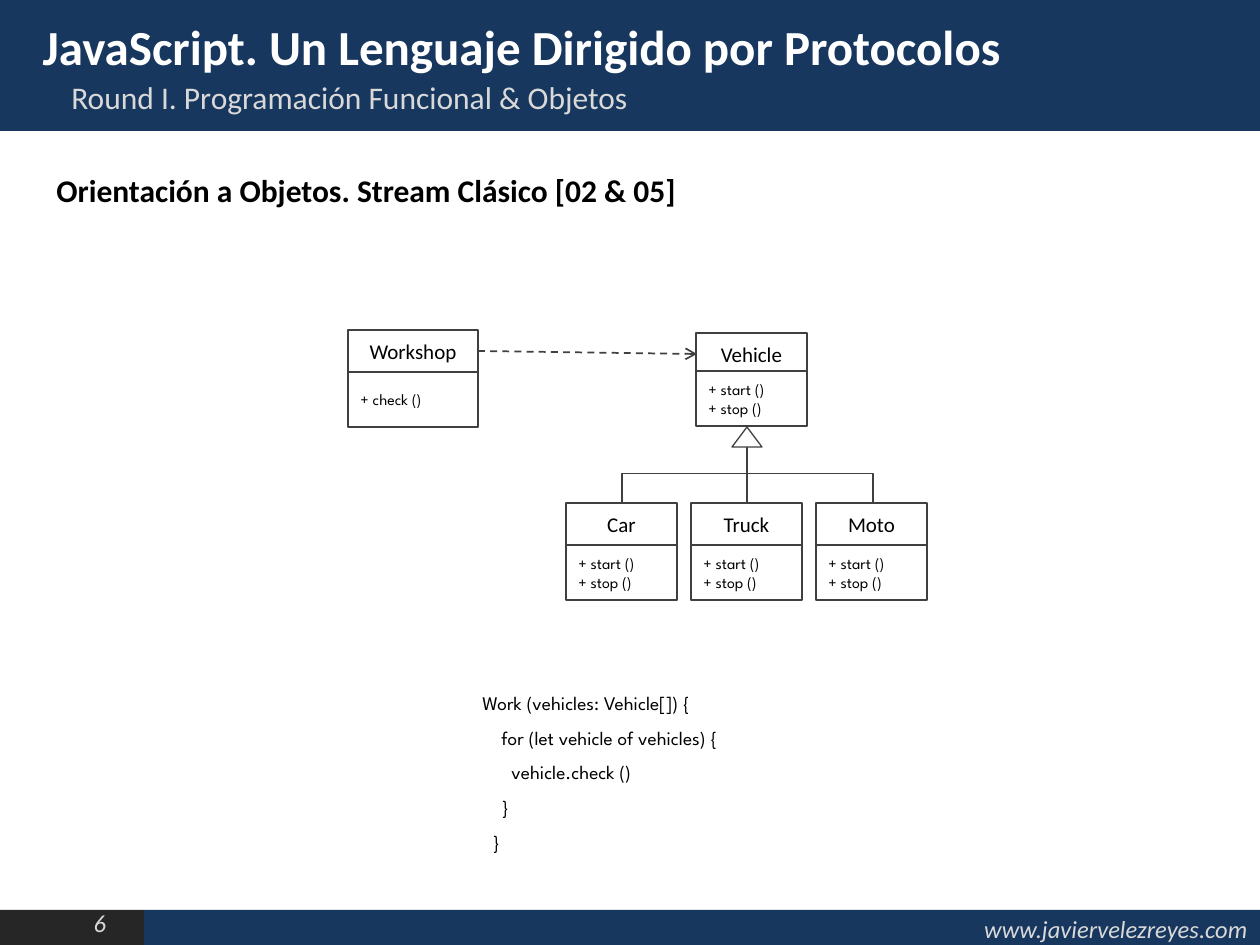
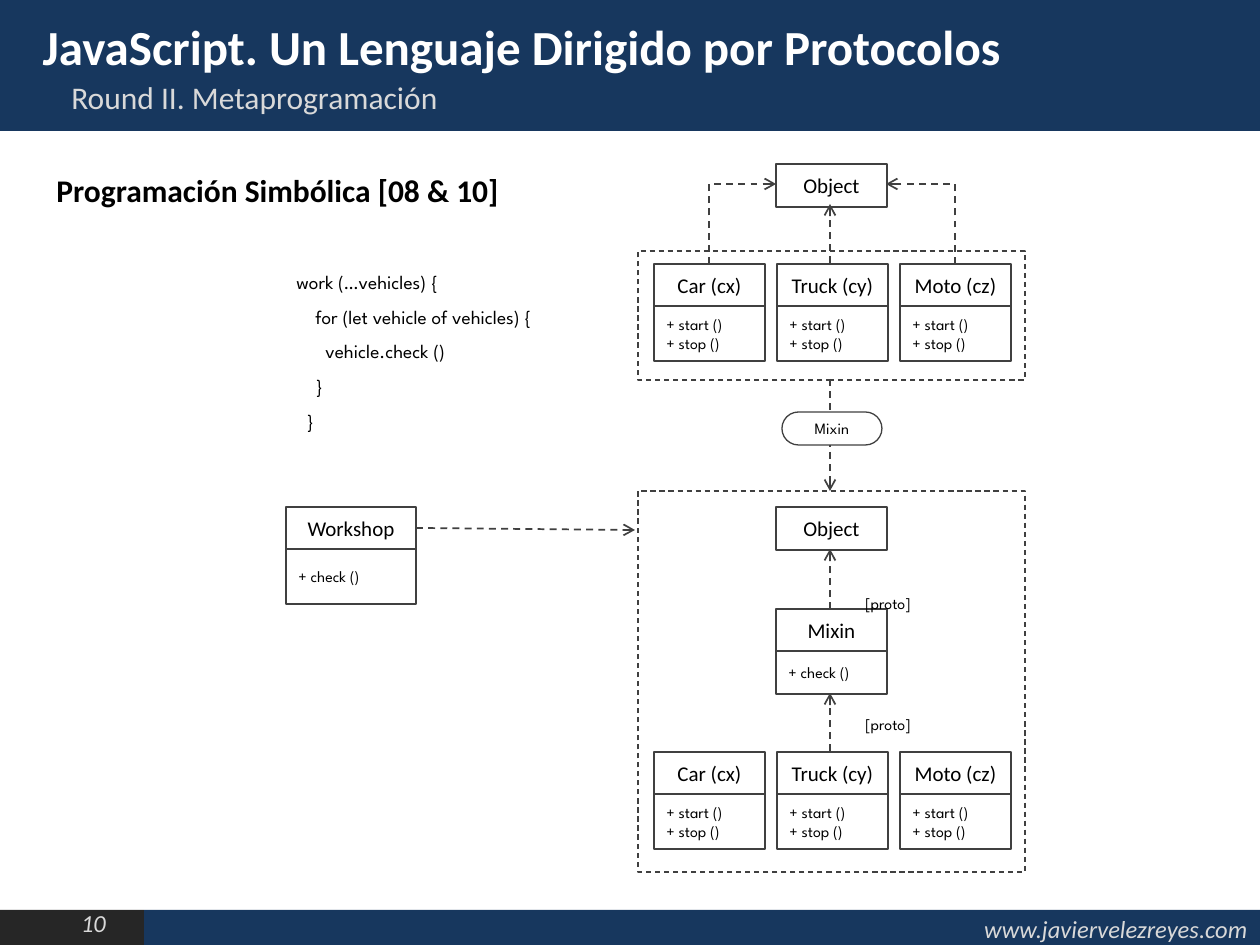
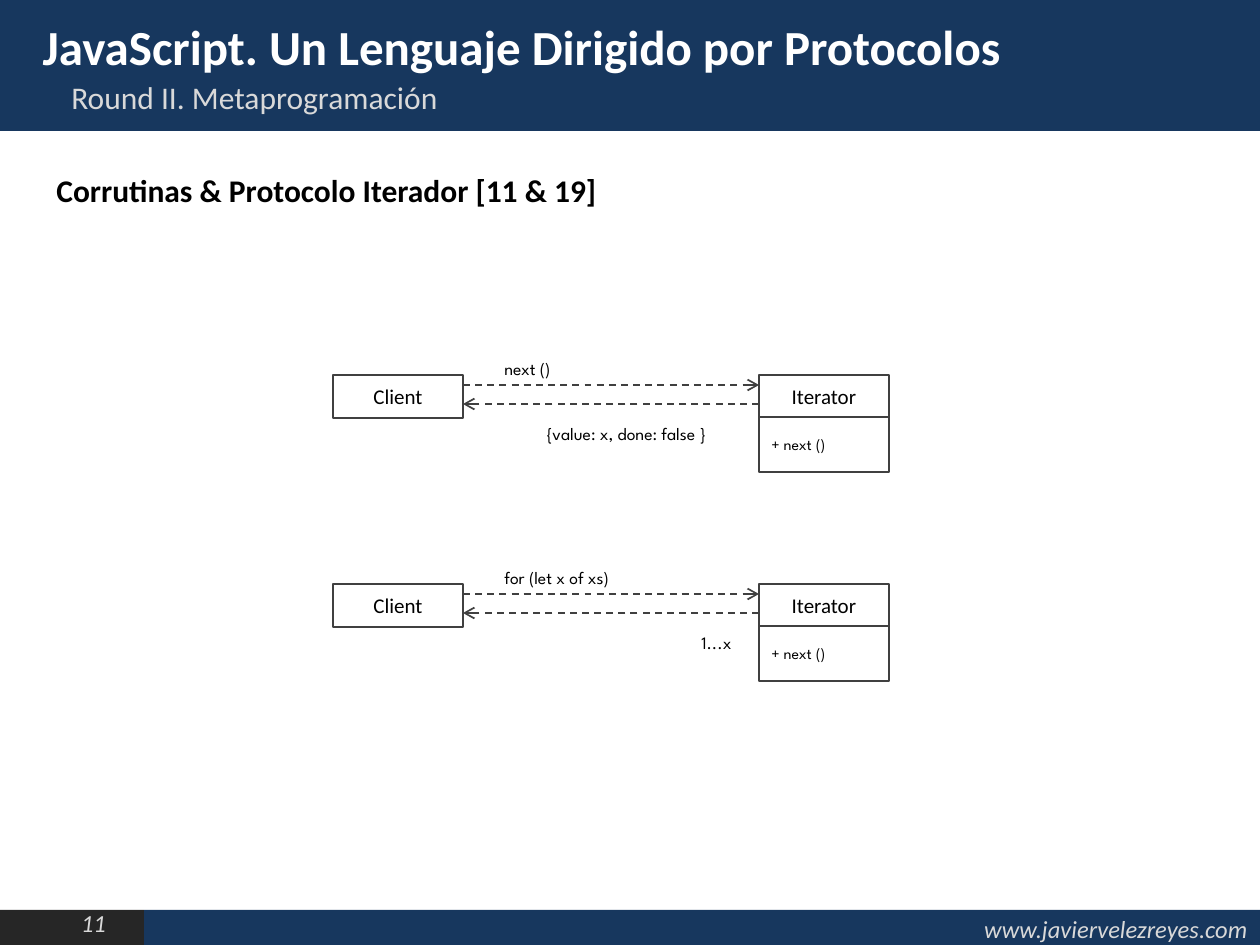
import pptx
import pptx.dml.color
import pptx.enum.dml
import pptx.enum.shapes
import pptx.enum.text
import pptx.oxml.ns
import pptx.util

EMU_PER_PX = 914400 / 126
COLORS = {"navy": "17375E", "charcoal": "262626", "muted": "D9D9D9",
          "white": "FFFFFF", "black": "000000", "outline": "404040"}
SANS = "Calibri"
MONO = "League Spartan"
ALIGN = pptx.enum.text.PP_ALIGN
ANCHOR = pptx.enum.text.MSO_ANCHOR
SHAPE = pptx.enum.shapes.MSO_SHAPE
CONNECTOR = pptx.enum.shapes.MSO_CONNECTOR
DASH = pptx.enum.dml.MSO_LINE.DASH

DECK_TITLE = "JavaScript. Un Lenguaje Dirigido por Protocolos"
WEBSITE = "www.javiervelezreyes.com"
HEAD_HEIGHT = 43
NARROW, WIDE = 111, 130
START_STOP = ["+ start ()", "+ stop ()"]
LOOP_LINES = ["for (let vehicle of vehicles) {", "vehicle.check ()", "}", "}"]
LOOP_INDENTS = [0, 19, 29, 19, 10]


def px(value):
    return pptx.util.Emu(round(value * EMU_PER_PX))


def rgb(name):
    return pptx.dml.color.RGBColor.from_string(COLORS[name])


def add_element(parent, tag, **attributes):
    parent.append(parent.makeelement(pptx.oxml.ns.qn(tag), attributes))


class Deck:
    def __init__(self):
        self.presentation = pptx.Presentation()
        self.presentation.slide_width = px(1260)
        self.presentation.slide_height = px(945)
        self.slide = None

    def new_slide(self, number, subtitle, heading):
        self.slide = self.presentation.slides.add_slide(self.presentation.slide_layouts[5])
        self.box(-1, 910, 145, 37, fill="charcoal", line=None)
        footer = self.box(144, 910, 1116, 37, fill="navy", line=None)
        self.set_text(footer, [WEBSITE], 14, color="muted", italic=True, align=ALIGN.RIGHT)
        header = self.box(0, 0, 1260, 131, fill="navy", line=None)
        title = self.slide.shapes.title
        header.element.addnext(title.element)
        title.left, title.top, title.width, title.height = map(px, (30, 10, 1186, 59))
        self.set_text(title, [DECK_TITLE], 28, color="white", bold=True, anchor=ANCHOR.TOP)
        page = self.text([str(number)], 15, 902, 110, 43, 14, color="muted",
                         italic=True, align=ALIGN.RIGHT)
        page.text_frame.margin_right = px(19)
        self.text([subtitle], 59, 72, 1157, 49, 18, color="muted")
        self.text([heading], 44, 165, 732, 49, 18, bold=True)

    def set_text(self, shape, lines, size, font=SANS, color="black", bold=False, italic=False,
                 align=ALIGN.LEFT, anchor=ANCHOR.MIDDLE, spacing=None, indents=None):
        frame = shape.text_frame
        frame.text = "\n".join(lines)
        frame.word_wrap = True
        frame.auto_size = pptx.enum.text.MSO_AUTO_SIZE.NONE
        frame.vertical_anchor = anchor
        for index, paragraph in enumerate(frame.paragraphs):
            paragraph.alignment = align
            paragraph.line_spacing = spacing
            if indents:
                paragraph._p.get_or_add_pPr().set("marL", str(px(indents[index])))
            for run in paragraph.runs:
                run.font.name = font
                run.font.size = pptx.util.Pt(size)
                run.font.bold = bold
                run.font.italic = italic
                run.font.color.rgb = rgb(color)

    def text(self, lines, left, top, width, height, size, anchor=ANCHOR.TOP, **style):
        shape = self.slide.shapes.add_textbox(*map(px, (left, top, width, height)))
        self.set_text(shape, lines, size, anchor=anchor, **style)
        return shape

    def listing(self, signature, left, top):
        self.text([signature] + LOOP_LINES, left, top, 335, 223, 11, font=MONO,
                  anchor=ANCHOR.MIDDLE, spacing=1.5, indents=LOOP_INDENTS)

    def box(self, left, top, width, height, kind=SHAPE.RECTANGLE, fill="white",
            line="outline", dashed=False):
        shape = self.slide.shapes.add_shape(kind, *map(px, (left, top, width, height)))
        shape.shadow.inherit = False
        if fill:
            shape.fill.solid()
            shape.fill.fore_color.rgb = rgb(fill)
        else:
            shape.fill.background()
        if line:
            shape.line.color.rgb = rgb(line)
            shape.line.width = pptx.util.Pt(0.75)
            if dashed:
                shape.line.dash_style = DASH
        else:
            shape.line.fill.background()
        return shape

    def class_box(self, name, methods, left, top, width, body_offset=42, body_height=55):
        head = self.box(left, top, width, HEAD_HEIGHT)
        self.set_text(head, [name], 12, align=ALIGN.CENTER)
        if methods:
            body = self.box(left, top + body_offset, width, body_height)
            self.set_text(body, methods, 9, font=MONO)

    def class_row(self, names, left, top, step):
        for index, name in enumerate(names):
            self.class_box(name, START_STOP, left + index * step, top, NARROW)

    def line(self, x1, y1, x2, y2, arrow=True, kind=CONNECTOR.STRAIGHT):
        connector = self.slide.shapes.add_connector(kind, *map(px, (x1, y1, x2, y2)))
        connector.line.color.rgb = rgb("outline")
        connector.line.width = pptx.util.Pt(1 if arrow else 0.75)
        properties = connector.element.spPr
        if arrow:
            connector.line.dash_style = DASH
            add_element(properties.find(pptx.oxml.ns.qn("a:ln")), "a:tailEnd", type="arrow")
        add_element(properties, "a:effectLst")
        return connector

    def rising_elbow(self, x1, y1, x2, y2, preset, adjustment=None, arrow=True):
        center_x, center_y = (x1 + x2) / 2, (y1 + y2) / 2
        rise, run = y1 - y2, x2 - x1
        connector = self.line(center_x - rise / 2, center_y - run / 2,
                              center_x + rise / 2, center_y + run / 2,
                              arrow, CONNECTOR.ELBOW)
        properties = connector.element.spPr
        properties.find(pptx.oxml.ns.qn("a:xfrm")).set("rot", str(270 * 60000))
        geometry = properties.find(pptx.oxml.ns.qn("a:prstGeom"))
        geometry.set("prst", preset)
        if adjustment:
            add_element(geometry.find(pptx.oxml.ns.qn("a:avLst")), "a:gd",
                        name="adj1", fmla=f"val {adjustment * 100000}")


def classic_stream(deck):
    deck.new_slide(6, "Round I. Programación Funcional & Objetos",
                   "Orientación a Objetos. Stream Clásico [02 & 05]")
    deck.line(747, 426, 747, 503, arrow=False)
    deck.rising_elbow(622, 504, 873, 503, "bentConnector3", adjustment=31, arrow=False)
    deck.box(732, 427, 30, 20, kind=SHAPE.ISOSCELES_TRIANGLE)
    deck.class_row(["Car", "Truck", "Moto"], 566, 503, 125)
    deck.class_box("Workshop", ["+ check ()"], 348, 330, WIDE)
    deck.class_box("Vehicle", START_STOP, 696, 333, NARROW, body_offset=38)
    deck.line(478, 351, 697, 354)
    deck.listing("Work (vehicles: Vehicle[]) {", 470, 655)


def symbolic_programming(deck):
    deck.new_slide(10, "Round II. Metaprogramación", "Programación Simbólica [08 & 10]")
    axis, object_left = 830, 776
    vehicles = ["Car (cx)", "Truck (cy)", "Moto (cz)"]
    for frame_top, frame_height, row_top in ((251, 129, 264), (491, 381, 752)):
        deck.box(638, frame_top, 387, frame_height, fill=None, dashed=True)
        deck.class_row(vehicles, 654, row_top, 123)
    deck.listing("work (…vehicles) {", 284, 234)
    deck.class_box("Workshop", ["+ check ()"], 286, 507, WIDE)
    deck.line(416, 528, 635, 530)
    deck.line(axis, 379, axis, 491)
    pill = deck.box(782, 412, 100, 33, kind=SHAPE.ROUNDED_RECTANGLE)
    pill.adjustments[0] = 0.5
    deck.set_text(pill, ["Mixin"], 9, font=MONO, align=ALIGN.CENTER)
    for object_top in (164, 507):
        deck.class_box("Object", [], object_left, object_top, NARROW)
    deck.class_box("Mixin", ["+ check ()"], object_left, 609, NARROW, body_height=43)
    for start, end in ((751, 693), (609, 549), (263, 204)):
        deck.line(axis, start, axis, end)
    for label_top in (703, 582):
        deck.text(["[proto]"], 853, label_top, 81, 32, 9, font=MONO,
                  anchor=ANCHOR.MIDDLE, spacing=1.5)
    for start, end in ((709, 776), (955, 886)):
        deck.rising_elbow(start, 264, end, 184, "bentConnector2")


def iterator_protocol(deck):
    deck.new_slide(11, "Round II. Metaprogramación",
                   "Corrutinas & Protocolo Iterador [11 & 19]")
    exchanges = ((375, "next ()", "{value: x, done: false }", 534),
                 (584, "for (let x of xs)", "1...x", 689))
    for top, request, response, response_left in exchanges:
        deck.class_box("Client", [], 333, top, WIDE)
        deck.class_box("Iterator", ["+ next ()"], 759, top, WIDE)
        deck.line(463, top + 10, 759, top + 10)
        deck.line(759, top + 29, 463, top + 29)
        deck.text([request], 492, top - 23, 260, 34, 10, font=MONO)
        deck.text([response], response_left, top + 42, 752 - response_left, 34, 10, font=MONO)


def main():
    deck = Deck()
    classic_stream(deck)
    symbolic_programming(deck)
    iterator_protocol(deck)
    deck.presentation.save("out.pptx")


if __name__ == "__main__":
    main()
